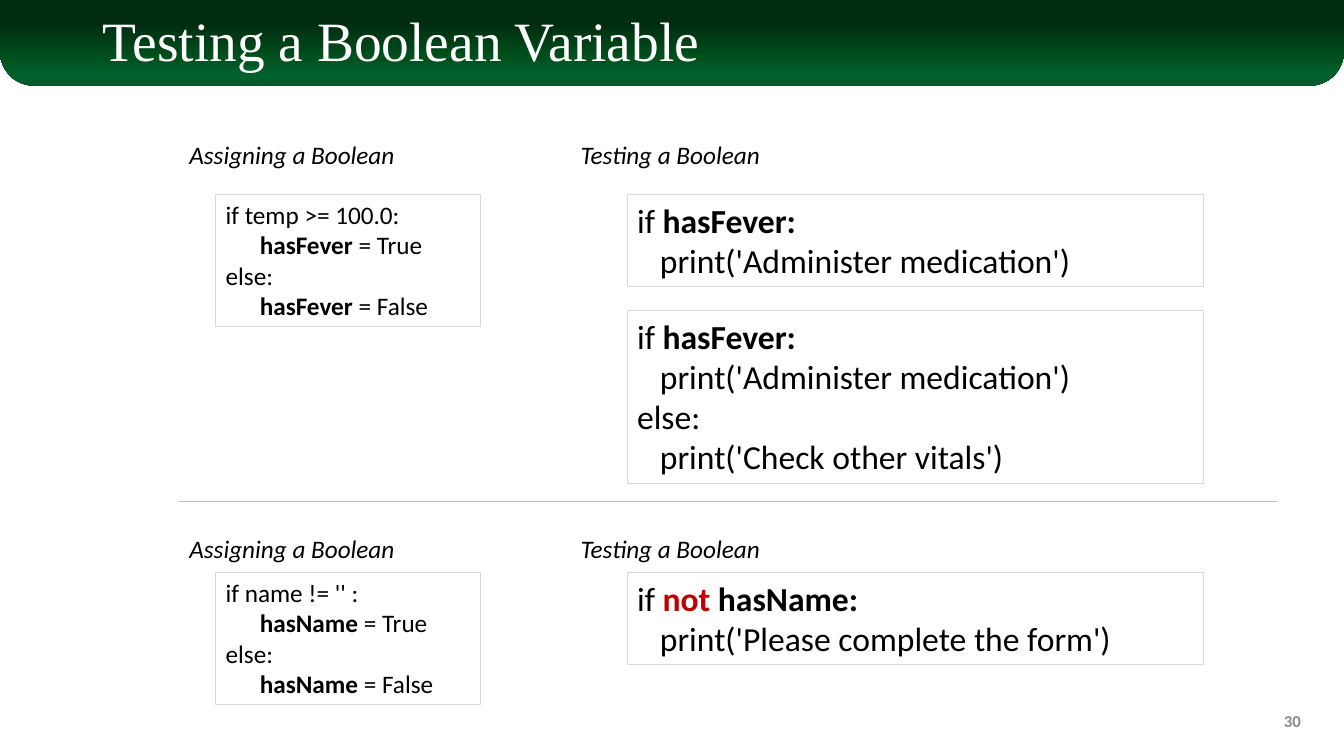
import lxml.etree
import pptx
import pptx.dml.color
import pptx.enum.shapes
import pptx.enum.text
import pptx.oxml
import pptx.oxml.ns
import pptx.util

Inches = pptx.util.Inches
RGBColor = pptx.dml.color.RGBColor
Align = pptx.enum.text.PP_ALIGN
Anchor = pptx.enum.text.MSO_ANCHOR
Shape = pptx.enum.shapes.MSO_SHAPE

WHITE = RGBColor(0xFF, 0xFF, 0xFF)
BLACK = RGBColor(0x00, 0x00, 0x00)
RED = RGBColor(0xC0, 0x00, 0x00)
PAGE_GRAY = RGBColor(0x8C, 0x8C, 0x8C)
BOX_GRAY = RGBColor(0xD9, 0xD9, 0xD9)
RULE_GRAY = RGBColor(0xBF, 0xBF, 0xBF)
BANNER_STOPS = [
    (0, RGBColor(0x00, 0x2D, 0x10)),
    (28, RGBColor(0x00, 0x2D, 0x10)),
    (68, RGBColor(0x00, 0x50, 0x1D)),
    (85, RGBColor(0x00, 0x60, 0x2B)),
    (100, RGBColor(0x00, 0x5C, 0x2B)),
]

LEFT, RIGHT = 1.78, 5.66
HEADING_WIDTH, HEADING_HEIGHT = 2.77, 0.4
ASSIGN_INDENT, ASSIGN_WIDTH = 0.36, 2.63
TEST_INDENT, TEST_WIDTH = 0.56, 5.72
CODE_COLORS = {"not ": RED}

ASSIGN_FEVER = [
    "if temp >= 100.0:",
    "      **hasFever** = True",
    "else:",
    "      **hasFever** = False",
]
TEST_FEVER = ["if **hasFever:**", "   print('Administer medication')"]
TEST_FEVER_ELSE = TEST_FEVER + ["else:", "   print('Check other vitals')"]
ASSIGN_NAME = [
    "if name != '' :",
    "      **hasName **= True",
    "else:",
    "      **hasName** = False",
]
TEST_NAME = ["if **not ****hasName:**", "   print('Please complete the form')"]


def style_run(run, size, color, name="Calibri", bold=False, italic=False):
    """Set the font of one run."""
    font = run.font
    font.name, font.size, font.color.rgb = name, pptx.util.Pt(size), color
    font.bold, font.italic = bold, italic


def add_label(page, left, top, width, height, text, size, color,
              align=Align.LEFT, anchor=Anchor.TOP, **style):
    """Add a one-line text box."""
    box = page.shapes.add_textbox(Inches(left), Inches(top), Inches(width), Inches(height))
    frame = box.text_frame
    frame.word_wrap = True
    frame.vertical_anchor = anchor
    frame.text = text
    para = frame.paragraphs[0]
    para.alignment = align
    style_run(para.runs[0], size, color, **style)
    return para


def add_banner(page, left, top, width, height):
    """Add the green title banner with rounded lower corners."""
    banner = page.shapes.add_shape(Shape.ROUND_2_SAME_RECTANGLE, Inches(left),
                                   Inches(top), Inches(width), Inches(height))
    banner.shadow.inherit = False
    banner.adjustments[0], banner.adjustments[1] = 0, 0.4
    banner.line.fill.background()
    banner.fill.gradient()
    banner.fill.gradient_angle = 270
    stops = banner.fill._fill._gradFill.find(pptx.oxml.ns.qn("a:gsLst"))
    for stop in list(stops):
        stops.remove(stop)
    for percent, color in BANNER_STOPS:
        stop = lxml.etree.SubElement(stops, pptx.oxml.ns.qn("a:gs"), pos=str(percent * 1000))
        lxml.etree.SubElement(stop, pptx.oxml.ns.qn("a:srgbClr"), val=str(color))
    title = add_label(page, left + 0.92, top + 0.13, 11.5, 0.61,
                      "Testing a Boolean Variable", 39.6, WHITE,
                      anchor=Anchor.MIDDLE, name="Times New Roman")
    title.line_spacing = 0.9


def add_code(page, left, top, width, height, lines, size):
    """Add a framed code box, with bold parts marked by double asterisks."""
    box = page.shapes.add_shape(Shape.RECTANGLE, Inches(left), Inches(top),
                                Inches(width), Inches(height))
    box.shadow.inherit = False
    box.fill.background()
    box.line.color.rgb = BOX_GRAY
    box.line.width = pptx.util.Pt(0.75)
    frame = box.text_frame
    frame.word_wrap = True
    frame.vertical_anchor = Anchor.TOP
    frame.auto_size = pptx.enum.text.MSO_AUTO_SIZE.SHAPE_TO_FIT_TEXT
    for index, line in enumerate(lines):
        para = frame.add_paragraph() if index else frame.paragraphs[0]
        para.alignment = Align.LEFT
        for position, part in enumerate(line.split("**")):
            if part:
                span = para.add_run()
                span.text = part
                style_run(span, size, CODE_COLORS.get(part, BLACK), bold=position % 2 == 1)


def add_example(page, top, code_offset, assign_lines, tests):
    """Add a pair of headings with the assigning and testing code below."""
    for left, text in ((LEFT, "Assigning a Boolean"), (RIGHT, "Testing a Boolean")):
        add_label(page, left, top, HEADING_WIDTH, HEADING_HEIGHT, text, 18, BLACK, italic=True)
    code_top = top + code_offset
    add_code(page, LEFT + ASSIGN_INDENT, code_top, ASSIGN_WIDTH, 1.31, assign_lines, 18)
    for offset, height, lines in tests:
        add_code(page, RIGHT + TEST_INDENT, code_top + offset, TEST_WIDTH, height, lines, 24)


def add_divider(page, left, top, width):
    """Add the thin line between the two examples."""
    rule = page.shapes.add_connector(pptx.enum.shapes.MSO_CONNECTOR.STRAIGHT, Inches(left),
                                     Inches(top), Inches(left + width), Inches(top))
    rule.line.color.rgb = RULE_GRAY
    rule.line.width = pptx.util.Pt(0.5)
    lxml.etree.SubElement(rule._element.spPr, pptx.oxml.ns.qn("a:effectLst"))


def main():
    """Build and save the slide."""
    deck = pptx.Presentation()
    deck.slide_width, deck.slide_height = Inches(13.33), Inches(7.5)
    page = deck.slides.add_slide(deck.slide_layouts[6])
    add_banner(page, 0, 0, 13.33, 0.85)
    add_example(page, 1.33, 0.6, ASSIGN_FEVER,
                [(0, 0.91, TEST_FEVER), (1.15, 1.72, TEST_FEVER_ELSE)])
    add_divider(page, LEFT, 4.97, 10.89)
    add_example(page, 5.24, 0.44, ASSIGN_NAME, [(0, 0.91, TEST_NAME)])
    add_label(page, 10, 6.95, 3, 0.4, "30", 12, PAGE_GRAY,
              align=Align.RIGHT, anchor=Anchor.MIDDLE, bold=True)
    deck.save("out.pptx")


if __name__ == "__main__":
    main()
